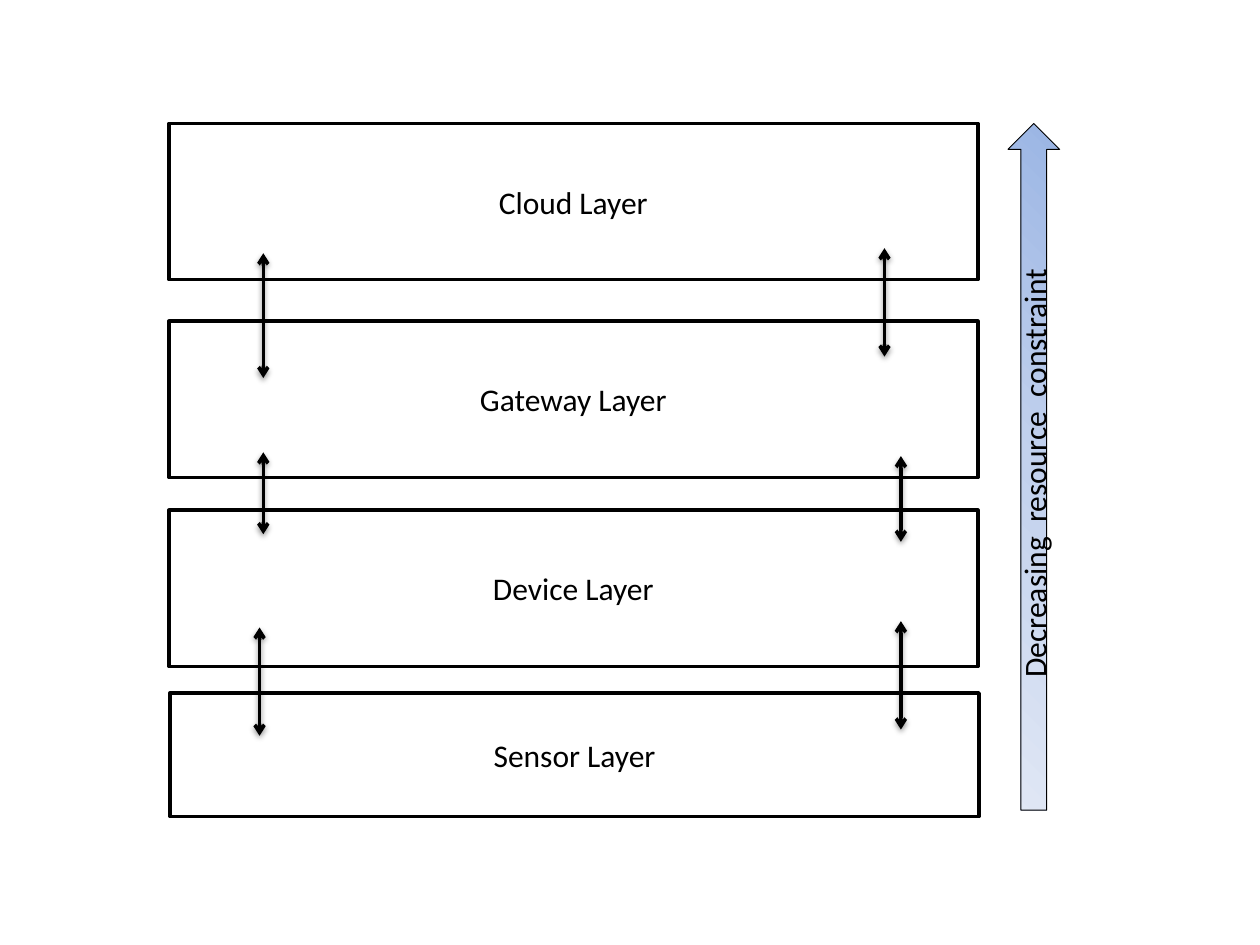
from lxml.etree import SubElement
from pptx import Presentation
from pptx.dml.color import RGBColor
from pptx.enum.shapes import MSO_CONNECTOR, MSO_SHAPE
from pptx.enum.text import MSO_ANCHOR, PP_ALIGN
from pptx.oxml import parse_xml
from pptx.oxml.ns import nsdecls, qn
from pptx.util import Inches, Pt


def color(value):
    return RGBColor.from_string(value)


def add_labelled_shape(kind, left, top, width, height, label, line_width):
    shape = slide.shapes.add_shape(
        kind, Inches(left), Inches(top), Inches(width), Inches(height))
    shape.shadow.inherit = False
    shape.line.color.rgb = color("000000")
    shape.line.width = Pt(line_width)
    frame = shape.text_frame
    frame.text = label
    frame.vertical_anchor = MSO_ANCHOR.MIDDLE
    para = frame.paragraphs[0]
    para.alignment = PP_ALIGN.CENTER
    font = para.runs[0].font
    font.name = "Calibri"
    font.size = Pt(18)
    font.color.rgb = color("000000")
    return shape


deck = Presentation()
deck.slide_width, deck.slide_height = Inches(10), Inches(7.5)
slide = deck.slides.add_slide(deck.slide_layouts[6])

# Layers: name, left, top, height
layers = [
    ("Cloud Layer", 1.34, 0.98, 1.24),
    ("Gateway Layer", 1.34, 2.55, 1.24),
    ("Device Layer", 1.34, 4.05, 1.24),
    ("Sensor Layer", 1.35, 5.5, 0.98),
]
for name, left, top, height in layers:
    box = add_labelled_shape(MSO_SHAPE.RECTANGLE, left, top, 6.42, height, name, 2)
    box.fill.solid()
    box.fill.fore_color.rgb = color("FFFFFF")

# Resource arrow, turned to point up
arrow = add_labelled_shape(MSO_SHAPE.RIGHT_ARROW, 5.48, 3.5, 5.45, 0.41,
                           "Decreasing  resource  constraint", 0.5)
arrow.rotation = 270
stops = "".join(
    f'<a:gs pos="{percent * 1000}"><a:srgbClr val="{shade}"/></a:gs>'
    for percent, shade in [(0, "9AB5E4"), (50, "C2D1ED"), (100, "E1E8F5")])
gradient = parse_xml(
    f'<a:gradFill {nsdecls("a")} rotWithShape="1"><a:gsLst>{stops}</a:gsLst>'
    f'<a:lin ang="{225 * 60000}" scaled="0"/></a:gradFill>')
arrow._element.spPr.find(qn("a:prstGeom")).addnext(gradient)

# Two-way links between neighbouring layers: x, top, bottom
links = [
    (2.09, 2.01, 3), (7.02, 1.97, 2.83),
    (2.09, 3.59, 4.24), (7.15, 3.62, 4.3),
    (2.06, 4.98, 5.84), (7.15, 4.93, 5.79),
]
for x, top, bottom in links:
    link = slide.shapes.add_connector(
        MSO_CONNECTOR.STRAIGHT, Inches(x), Inches(top), Inches(x), Inches(bottom))
    link.line.color.rgb = color("000000")
    link.line.width = Pt(2)
    line = link.line._get_or_add_ln()
    for end in ("a:headEnd", "a:tailEnd"):
        SubElement(line, qn(end), type="arrow")
    link._element.spPr.append(parse_xml(
        f'<a:effectLst {nsdecls("a")}>'
        f'<a:outerShdw blurRad="{Pt(3.1)}" dist="{Pt(1.6)}" dir="{90 * 60000}" rotWithShape="0">'
        '<a:srgbClr val="000000"><a:alpha val="38000"/></a:srgbClr>'
        '</a:outerShdw></a:effectLst>'))

deck.save("out.pptx")
